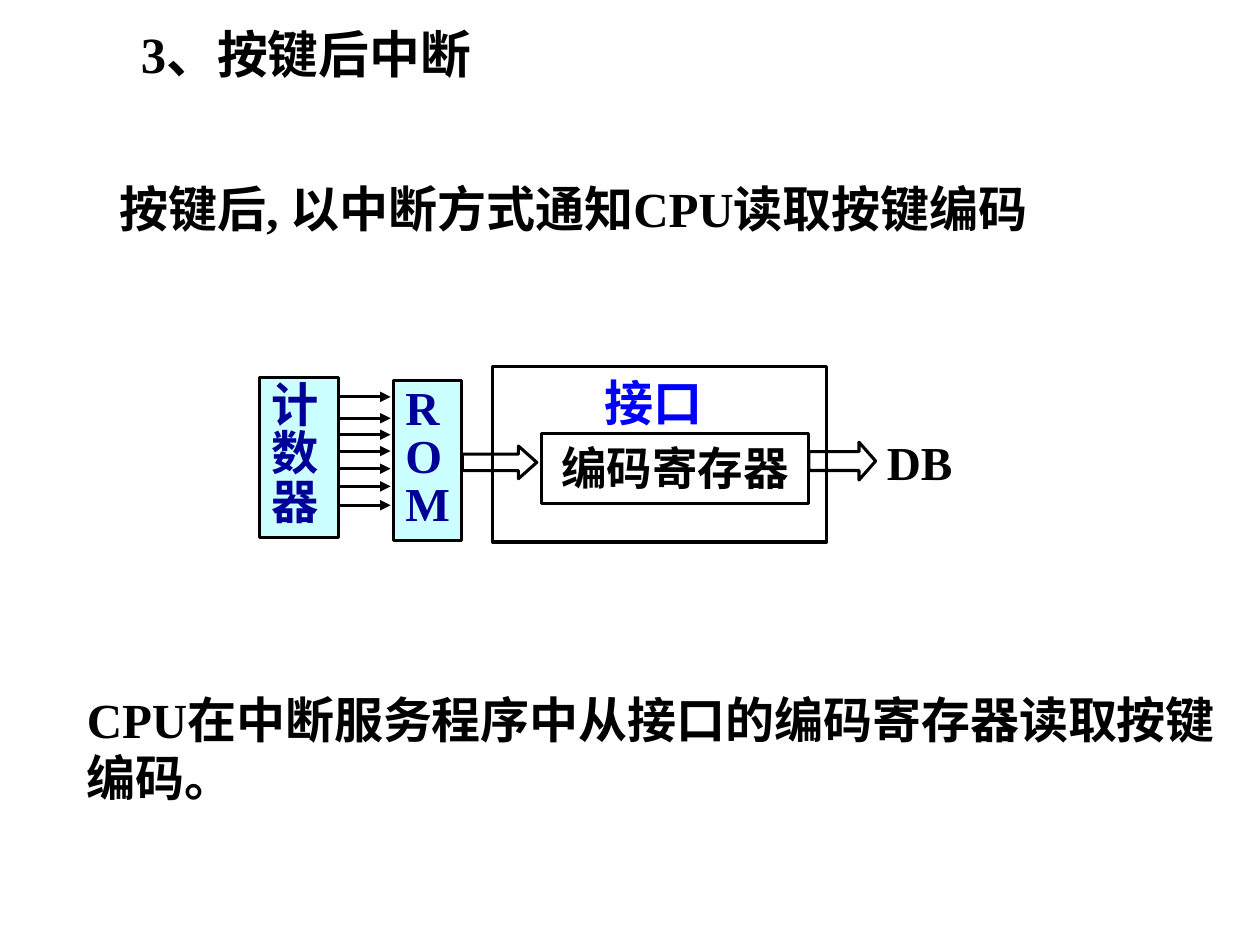
"""Build the slide about reading key codes through an interrupt."""
from lxml import etree
from pptx import Presentation
from pptx.dml.color import RGBColor
from pptx.enum.shapes import MSO_CONNECTOR, MSO_SHAPE
from pptx.enum.text import MSO_ANCHOR, PP_ALIGN
from pptx.oxml.ns import qn
from pptx.util import Inches, Pt

RECTANGLE = MSO_SHAPE.RECTANGLE
RIGHT_ARROW = MSO_SHAPE.RIGHT_ARROW
STRAIGHT = MSO_CONNECTOR.STRAIGHT
TOP = MSO_ANCHOR.TOP
LEFT, CENTER = PP_ALIGN.LEFT, PP_ALIGN.CENTER
BLACK, NAVY, BLUE, AQUA = "000000", "000099", "0000FF", "CCFFFF"


def color(hex_value):
    """Turn a hex string into a colour."""
    return RGBColor.from_string(hex_value)


class Diagram:
    """Hold the style and the current slide."""

    font_format = {"name": "Times New Roman", "bold": True}
    frame_format = {"word_wrap": True, "vertical_anchor": TOP}
    line_width = 1.75

    def __init__(self, slide):
        """Keep the slide to draw on."""
        self.slide = slide

    def fill_text(self, shape, text, size, ink=BLACK, indent=0.1, **paragraph_format):
        """Put one styled paragraph into a shape."""
        frame = shape.text_frame
        paragraph = frame.paragraphs[0]
        paragraph.text = text
        paragraph.font.color.rgb = color(ink)
        settings = (
            (frame, {**self.frame_format, "margin_left": Inches(indent)}),
            (paragraph, {"alignment": LEFT, **paragraph_format}),
            (paragraph.font, {**self.font_format, "size": Pt(size)}),
        )
        for target, values in settings:
            for name, value in values.items():
                setattr(target, name, value)

    def label(self, box, text, size):
        """Add a text box."""
        shape = self.slide.shapes.add_textbox(*map(Inches, box))
        self.fill_text(shape, text, size)

    def outline(self, kind, box, fill=None, width=line_width):
        """Add an outlined preset shape."""
        shape = self.slide.shapes.add_shape(kind, *map(Inches, box))
        shape.shadow.inherit = False
        shape.line.color.rgb = color(BLACK)
        shape.line.width = Pt(width)
        if fill:
            shape.fill.solid()
            shape.fill.fore_color.rgb = color(fill)
        else:
            shape.fill.background()
        return shape

    def block(self, box, text, size, fill=None, width=line_width, **text_format):
        """Add a rectangle with text."""
        shape = self.outline(RECTANGLE, box, fill, width)
        self.fill_text(shape, text, size, **text_format)

    def bus(self, box, head):
        """Add a hollow arrow with a given head length."""
        shape = self.outline(RIGHT_ARROW, box)
        shape.adjustments[0] = 0.5
        shape.adjustments[1] = head

    def signal(self, left, right, y):
        """Add a thin horizontal arrow."""
        ends = map(Inches, (left, y, right, y))
        connector = self.slide.shapes.add_connector(STRAIGHT, *ends)
        connector.line.color.rgb = color(BLACK)
        connector.line.width = Pt(self.line_width)
        properties = connector._element.spPr
        etree.SubElement(properties.find(qn("a:ln")), qn("a:tailEnd"), type="triangle")
        etree.SubElement(properties, qn("a:effectLst"))


def main():
    """Build and save the presentation."""
    presentation = Presentation()
    presentation.slide_width, presentation.slide_height = Inches(10), Inches(7.5)
    diagram = Diagram(presentation.slides.add_slide(presentation.slide_layouts[6]))

    diagram.label((1.02, 0.13, 4.13, 0.58), "3、按键后中断", 29)
    diagram.label((0.85, 1.37, 9.15, 0.57), "按键后, 以中断方式通知CPU读取按键编码", 28)

    stacked = {"size": 27, "fill": AQUA, "ink": NAVY, "line_spacing": 0.85}
    diagram.block((2.06, 3, 0.63, 1.27), "计数器", **stacked)
    diagram.block((3.12, 3.02, 0.54, 1.27), "ROM", **stacked)
    for y in (3.15, 3.32, 3.45, 3.58, 3.72, 3.86, 4.01):
        diagram.signal(2.7, 3.1, y)

    diagram.block((3.91, 2.91, 2.65, 1.39), "接口", 28, width=2, ink=BLUE, indent=0.89)
    diagram.block((4.3, 3.44, 2.12, 0.56), "编码寄存器", 26, alignment=CENTER)
    diagram.bus((3.67, 3.54, 0.59, 0.26), 0.56)
    diagram.bus((6.42, 3.51, 0.53, 0.3), 0.44)
    diagram.label((6.94, 3.39, 0.74, 0.55), "DB", 27)

    diagram.label((0.59, 5.42, 9.39, 1.04), "CPU在中断服务程序中从接口的编码寄存器读取按键编码。", 28)
    presentation.save("out.pptx")


if __name__ == "__main__":
    main()
